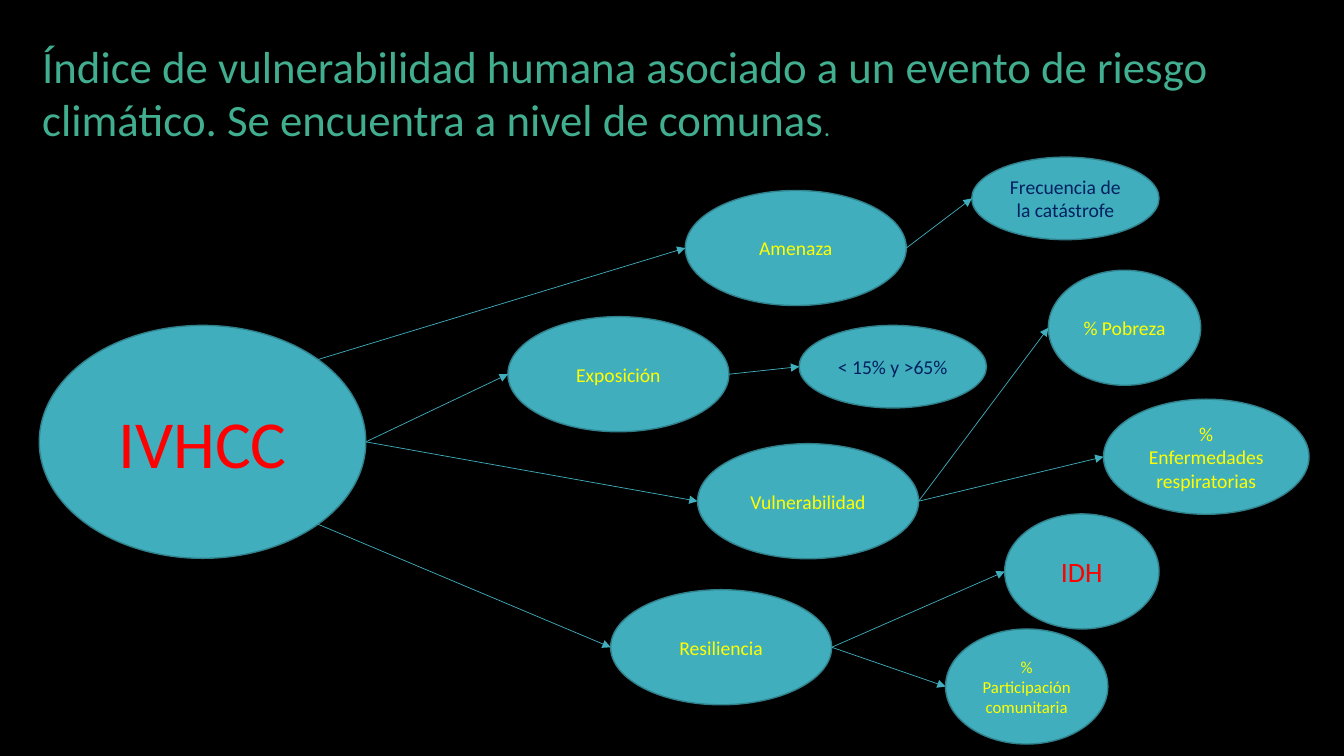
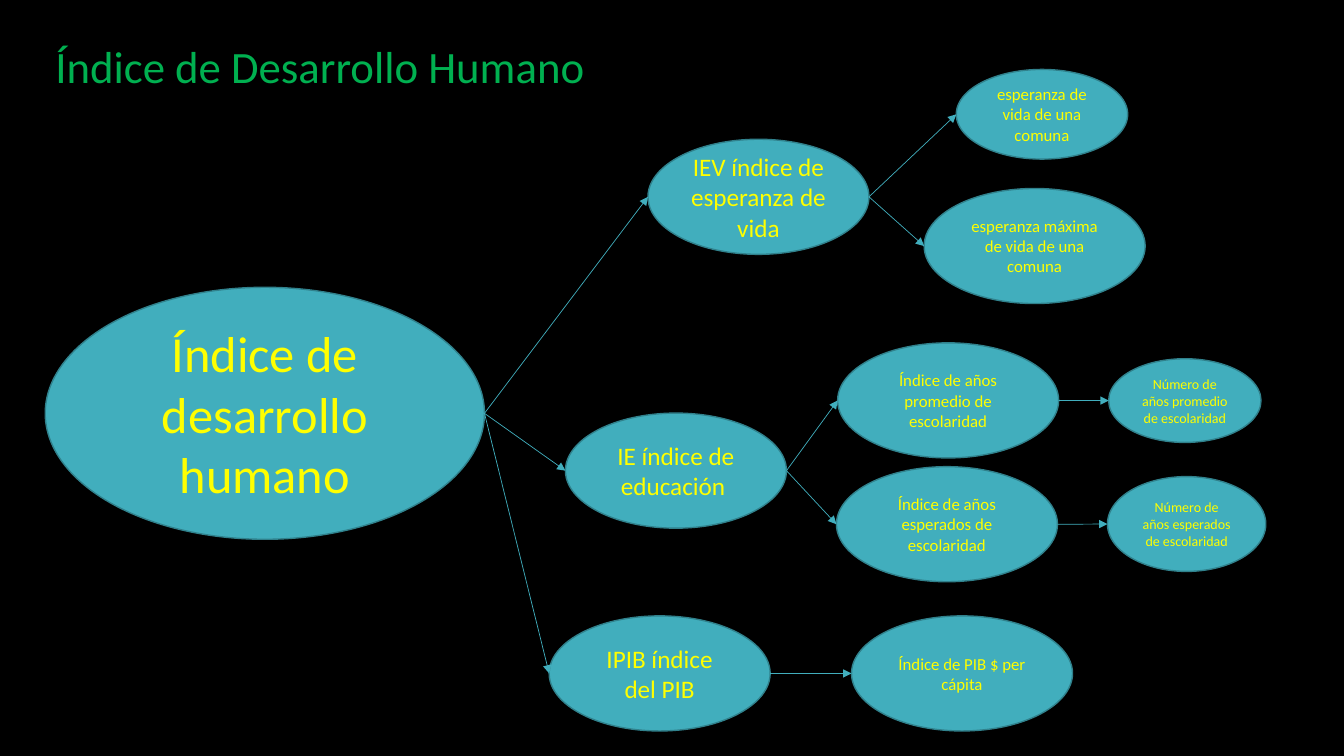
import math

from lxml import etree
from pptx import Presentation
from pptx.dml.color import RGBColor
from pptx.enum.shapes import MSO_CONNECTOR, MSO_SHAPE
from pptx.enum.text import MSO_ANCHOR, MSO_AUTO_SIZE, PP_ALIGN
from pptx.oxml.ns import qn
from pptx.util import Cm, Pt

OVAL = MSO_SHAPE.OVAL
STRAIGHT = MSO_CONNECTOR.STRAIGHT
TOP, MIDDLE = MSO_ANCHOR.TOP, MSO_ANCHOR.MIDDLE
NO_FIT = MSO_AUTO_SIZE.NONE
LEFT, CENTER = PP_ALIGN.LEFT, PP_ALIGN.CENTER

FONT = "Calibri"
BLACK, TEAL, DARK_TEAL = "000000", "41AEBD", "30818C"
MINT, GREEN = "41AE8F", "00B050"
YELLOW, RED, NAVY = "FFFF00", "FF0000", "002060"

NODE_W, NODE_H = 5.57, 2.9
TITLE_ONLY = 5
LEFT_SITE, LOW_RIGHT, RIGHT_SITE, HIGH_RIGHT = 2, 5, 6, 7
DIAGONAL = math.sqrt(0.5)
SITE_OFFSETS = {
    LEFT_SITE: (-1, 0),
    LOW_RIGHT: (DIAGONAL, DIAGONAL),
    RIGHT_SITE: (1, 0),
    HIGH_RIGHT: (DIAGONAL, -DIAGONAL),
}

# name: (text, left, top, size, colour[, width[, height]])
VULNERABILITY_NODES = {
    "index": ("IVHCC", 0.99, 8.2, 48, RED, 8.23, 5.87),
    "exposure": ("Exposición", 12.8, 7.98, 14, YELLOW),
    "threat": ("Amenaza", 17.27, 4.8, 14, YELLOW),
    "vulnerability": ("Vulnerabilidad", 17.58, 11.18, 14, YELLOW),
    "resilience": ("Resiliencia", 15.39, 14.86, 14, YELLOW),
    "hdi": ("IDH", 25.32, 12.95, 20, RED, 3.89),
    "participation": ("% Participación comunitaria", 23.83, 15.85, 12, YELLOW, 4.09),
    "poverty": ("% Pobreza", 26.42, 6.81, 14, YELLOW, 3.84),
    "illness": ("% Enfermedades respiratorias", 27.81, 10.06, 14, YELLOW, 5.18),
    "frequency": ("Frecuencia de la catástrofe", 24.49, 3.96, 14, NAVY, 4.72, 2.08),
    "ages": ("< 15% y >65%", 20.14, 8.2, 14, NAVY, 4.72, 2.08),
}
VULNERABILITY_LINKS = [
    ("index", "threat", HIGH_RIGHT),
    ("index", "exposure"),
    ("index", "vulnerability"),
    ("index", "resilience", LOW_RIGHT),
    ("vulnerability", "poverty"),
    ("vulnerability", "illness"),
    ("resilience", "hdi"),
    ("resilience", "participation"),
    ("threat", "frequency"),
    ("exposure", "ages"),
]

DEVELOPMENT_NODES = {
    "index": ("Índice de desarrollo humano", 1.14, 7.24, 36, YELLOW, 11.07, 6.35),
    "education": ("IE índice de educación ", 14.25, 10.41, 18, YELLOW),
    "life": ("IEV índice de esperanza de vida", 16.33, 3.51, 18, YELLOW),
    "gdp": ("IPIB índice del PIB", 13.84, 15.52, 18, YELLOW),
    "mean": ("Índice de años promedio de escolaridad", 21.11, 8.64, 12, YELLOW),
    "life_max": ("esperanza máxima de vida de una comuna", 23.29, 4.75, 12, YELLOW),
    "life_local": ("esperanza de vida de una comuna", 24.1, 1.75, 12, YELLOW, 4.32, 2.26),
    "expected": ("Índice de años esperados de escolaridad", 21.08, 11.76, 12, YELLOW),
    "mean_years": ("Número de años promedio de escolaridad", 27.94, 9.04, 10, YELLOW, 3.84, 2.11),
    "per_capita": ("Índice de PIB $ per cápita", 21.46, 15.52, 12, YELLOW),
    "expected_years": ("Número de años esperados de escolaridad", 27.91, 12.01, 10, YELLOW, 3.99, 2.39),
}
DEVELOPMENT_LINKS = [
    ("index", "life"),
    ("index", "education"),
    ("index", "gdp"),
    ("education", "mean"),
    ("education", "expected"),
    ("life", "life_max"),
    ("life", "life_local"),
    ("mean", "mean_years"),
    ("expected", "expected_years"),
    ("gdp", "per_capita"),
]


def rgb(value):
    """Return the colour for a hex string."""
    return RGBColor.from_string(value)


def format_run(r, size, color):
    """Apply font, size and colour to a run."""
    r.font.name = FONT
    r.font.size = Pt(size)
    r.font.color.rgb = rgb(color)


def add_title(s, runs, color, left, width, height):
    """Place the title and fill it with (text, size) runs."""
    title = s.shapes.title
    title.left, title.top = Cm(left), Cm(0.84)
    title.width, title.height = Cm(width), Cm(height)
    tf = title.text_frame
    tf.word_wrap = True
    tf.auto_size = NO_FIT
    tf.vertical_anchor = TOP
    p = tf.paragraphs[0]
    p.alignment = LEFT
    for text, size in runs:
        r = p.add_run()
        r.text = text
        format_run(r, size, color)


def add_node(s, text, left, top, size, color, width=NODE_W, height=NODE_H):
    """Add a labelled ellipse."""
    sp = s.shapes.add_shape(OVAL, Cm(left), Cm(top), Cm(width), Cm(height))
    sp.shadow.inherit = False
    sp.fill.solid()
    sp.fill.fore_color.rgb = rgb(TEAL)
    sp.line.color.rgb = rgb(DARK_TEAL)
    sp.line.width = Pt(1)
    tf = sp.text_frame
    tf.word_wrap = True
    tf.vertical_anchor = MIDDLE
    tf.text = text
    p = tf.paragraphs[0]
    p.alignment = CENTER
    format_run(p.runs[0], size, color)
    return sp


def site_point(sp, site):
    """Return the position of a connection site on an ellipse."""
    dx, dy = SITE_OFFSETS[site]
    return (round(sp.left + sp.width * (1 + dx) / 2),
            round(sp.top + sp.height * (1 + dy) / 2))


def add_arrow(s, source, target, site=RIGHT_SITE):
    """Join two ellipses with an arrow glued to their connection sites."""
    cxn = s.shapes.add_connector(
        STRAIGHT, *site_point(source, site), *site_point(target, LEFT_SITE))
    cxn.line.color.rgb = rgb(TEAL)
    cxn.line.width = Pt(0.5)
    etree.SubElement(cxn.line._get_or_add_ln(), qn("a:tailEnd"), type="triangle")
    etree.SubElement(cxn._element.spPr, qn("a:effectLst"))
    joints = cxn._element.nvCxnSpPr.cNvCxnSpPr
    for tag, sp, idx in (("a:stCxn", source, site), ("a:endCxn", target, LEFT_SITE)):
        etree.SubElement(joints, qn(tag), id=str(sp.shape_id), idx=str(idx))


def add_diagram(s, nodes, links):
    """Draw the ellipses and the arrows between them."""
    shapes = {name: add_node(s, *node) for name, node in nodes.items()}
    for source, target, *site in links:
        add_arrow(s, shapes[source], shapes[target], *site)


def main():
    """Build and save the presentation."""
    prs = Presentation()
    prs.slide_width, prs.slide_height = Cm(33.87), Cm(19.05)
    background = prs.slide_master.background.fill
    background.solid()
    background.fore_color.rgb = rgb(BLACK)
    layout = prs.slide_layouts[TITLE_ONLY]

    s = prs.slides.add_slide(layout)
    add_title(s, [("Índice de vulnerabilidad humana asociado a un evento de riesgo "
                   "climático. Se encuentra a nivel de comunas", 32), (".", 18)],
              MINT, 0.81, 31.72, 3)
    add_diagram(s, VULNERABILITY_NODES, VULNERABILITY_LINKS)

    s = prs.slides.add_slide(layout)
    add_title(s, [("Índice de Desarrollo Humano", 32)], GREEN, 1.14, 17.2, 1.63)
    add_diagram(s, DEVELOPMENT_NODES, DEVELOPMENT_LINKS)

    prs.save("out.pptx")


if __name__ == "__main__":
    main()
